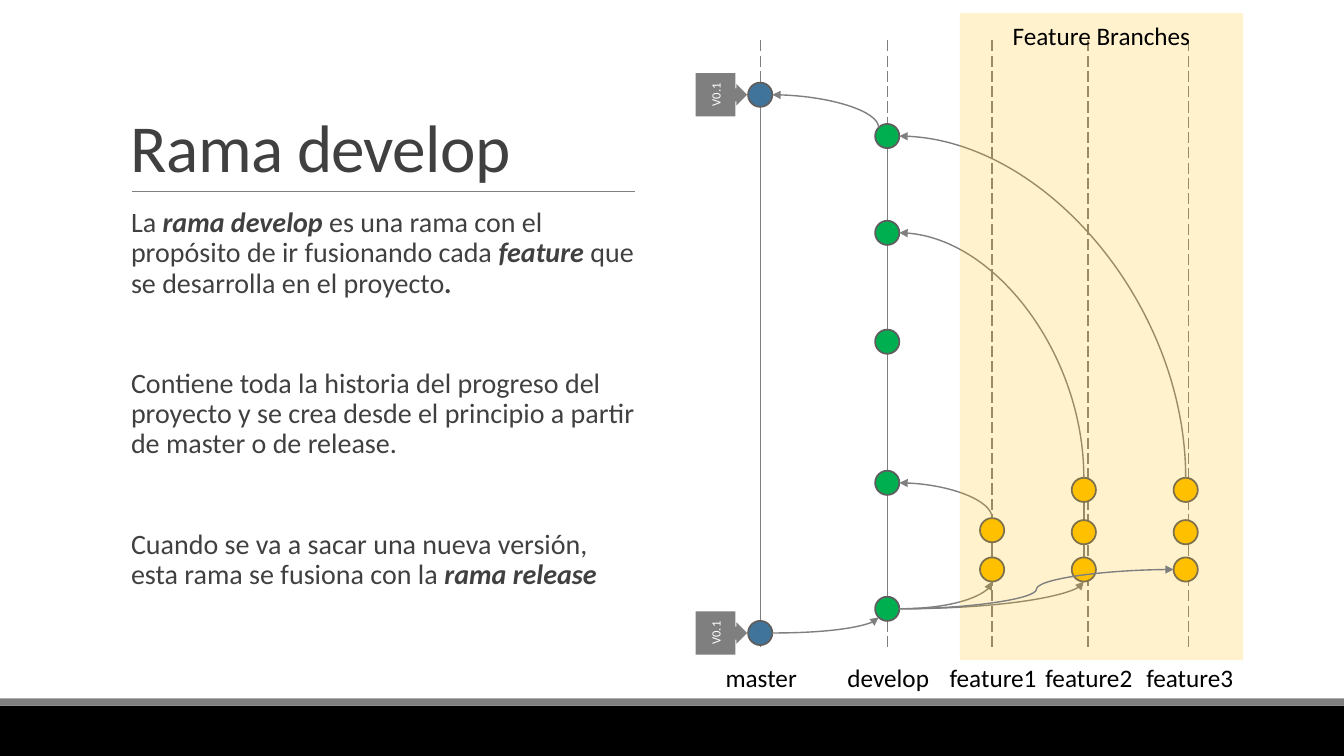
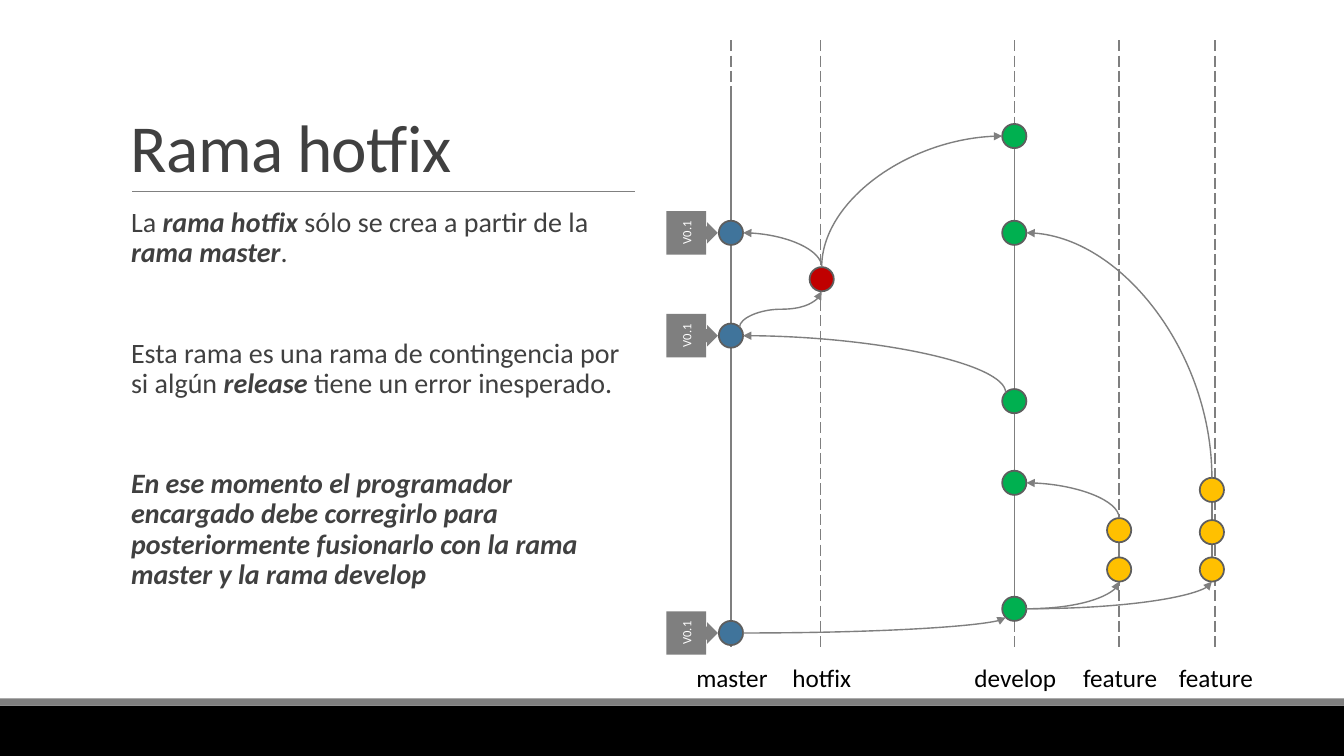
"""Build two slides that explain the develop and hotfix branches of a Git workflow."""
import pptx
import pptx.dml.color
import pptx.enum.dml
import pptx.enum.shapes
import pptx.enum.text
import pptx.oxml.ns
import pptx.oxml.xmlchemy
import pptx.util

Inches, Pt = pptx.util.Inches, pptx.util.Pt
SHAPE = pptx.enum.shapes.MSO_SHAPE
CONNECTOR = pptx.enum.shapes.MSO_CONNECTOR
ALIGN = pptx.enum.text.PP_ALIGN
ANCHOR = pptx.enum.text.MSO_ANCHOR
qn = pptx.oxml.ns.qn

WIDTH, HEIGHT = 13.33, 7.5
FONT = "Calibri"
COLORS = {
    "black": "000000", "white": "FFFFFF", "text": "404040", "gray": "7F7F7F",
    "rule": "808080", "outline": "5E5E5E", "master": "40749B",
    "develop": "00B050", "feature": "FFC000", "hotfix": "C00000",
}
NODE = 0.24
LANE_TOP, LANE_BOTTOM, LABEL_TOP = 0.4, 6.46, 6.52
DIAG = 0.71
SITES = {
    "top": (0, 0, -1), "upper-left": (1, -DIAG, -DIAG), "left": (2, -1, 0),
    "lower-left": (3, -DIAG, DIAG), "bottom": (4, 0, 1), "right": (6, 1, 0),
    "upper-right": (7, DIAG, -DIAG),
}
SHORT, LONG = [5.65, 5.26], [5.65, 5.28, 4.86]

# lane: key -> label, colour, lane x, node x, commit heights, top of the solid line
SLIDES = [
    {
        "title": "Rama develop",
        "body": [
            "La *rama develop *es una rama con el propósito de ir fusionando cada "
            "*feature* que se desarrolla en el proyecto*.*",
            "Contiene toda la historia del progreso del proyecto y se crea desde "
            "el principio a partir de master o de release.",
            "Cuando se va a sacar una nueva versión, esta rama se fusiona con la "
            "*rama release*",
        ],
        "lanes": {
            "m": ("master", "master", 7.54, 7.54, [6.28, 0.94], 0.94),
            "d": ("develop", "develop", 8.8, 8.8, [6.04, 4.79, 3.39, 2.31, 1.35], 1.35),
            "a": ("feature1", "feature", 9.84, 9.84, SHORT, 5.26),
            "b": ("feature2", "feature", 10.79, 10.75, LONG, 4.86),
            "c": ("feature3", "feature", 11.79, 11.76, LONG, None),
        },
        "edges": [
            "m0 right d0 lower-left", "d0 right a0 bottom", "a1 top d1 right",
            "d0 right b0 bottom", "b2 top d3 right", "c2 top d4 right",
            "d4 upper-left m1 right",
        ],
        "band": ("Feature Branches", 9.52, 0.13, 2.81, 6.42),
        "front_edges": ["d0 right c0 left"],
    },
    {
        "title": "Rama hotfix",
        "body": [
            "La *rama hotfix* sólo se crea a partir de la *rama master*.",
            "Esta rama es una rama de contingencia por si algún *release* tiene "
            "un error inesperado.",
            "*En ese momento el programador encargado debe corregirlo para "
            "posteriormente fusionarlo con la rama master y la rama develop*",
        ],
        "lanes": {
            "m": ("master", "master", 7.25, 7.25, [6.28, 3.33, 2.31], 0.94),
            "h": ("hotfix", "hotfix", 8.14, 8.15, [2.77], None),
            "d": ("develop", "develop", 10.06, 10.06, [6.04, 4.79, 3.98, 2.31, 1.35], 1.35),
            "a": ("feature", "feature", 11.1, 11.1, SHORT, 5.26),
            "b": ("feature", "feature", 12.05, 12.02, LONG, 4.86),
        },
        "edges": [
            "m0 right d0 lower-left", "d0 right a0 bottom", "a1 top d1 right",
            "d0 right b0 bottom", "b2 top d3 right", "d2 upper-left m1 right",
            "m1 upper-right h0 bottom", "h0 top m2 right", "h0 top d4 left",
        ],
        "band": None,
        "front_edges": [],
    },
]


def rgb(name):
    """Return the named colour."""
    return pptx.dml.color.RGBColor.from_string(COLORS[name])


def add_run(p, text, size, color, strong=False):
    """Append one styled run to a paragraph."""
    r = p.add_run()
    r.text = text
    r.font.name, r.font.size = FONT, Pt(size)
    r.font.color.rgb = rgb(color)
    r.font.bold = r.font.italic = strong
    return r


def add_box(slide, x, y, w, h):
    """Add an empty wrapping text box and return its frame."""
    tf = slide.shapes.add_textbox(*map(Inches, (x, y, w, h))).text_frame
    tf.word_wrap = True
    return tf


def add_label(slide, text, center, top):
    """Add a black caption centred on an x position."""
    p = add_box(slide, center - 1.1, top, 2.2, 0.4).paragraphs[0]
    p.alignment = ALIGN.CENTER
    add_run(p, text, 18, "black")


def add_shape(slide, kind, x, y, w, h, fill, outline=None):
    """Add a flat filled shape."""
    sp = slide.shapes.add_shape(kind, *map(Inches, (x, y, w, h)))
    sp.shadow.inherit = False
    sp.fill.solid()
    sp.fill.fore_color.rgb = rgb(fill)
    if outline:
        sp.line.color.rgb = rgb(outline)
        sp.line.width = Pt(1.25)
    else:
        sp.line.fill.background()
    return sp


def add_line(slide, x1, y1, x2, y2, kind=CONNECTOR.STRAIGHT, color="gray", width=1):
    """Add a connector without a shadow."""
    cxn = slide.shapes.add_connector(kind, *map(Inches, (x1, y1, x2, y2)))
    cxn.line.color.rgb = rgb(color)
    cxn.line.width = Pt(width)
    props = cxn._element.spPr
    props.append(props.makeelement(qn("a:effectLst"), {}))
    return cxn


def add_edge(slide, edge, nodes):
    """Join two commits with a curved arrow."""
    source, out, target, into = edge.split()
    ends = [(nodes[source], out), (nodes[target], into)]
    flat = [site in ("left", "right") for site in (out, into)]
    arrow = "a:tailEnd"
    if flat == [False, True]:
        ends.reverse()
        arrow = "a:headEnd"
    points = []
    for (sp, x, y), site in ends:
        dx, dy = SITES[site][1:]
        points.append((x + dx * NODE / 2, y + dy * NODE / 2))
    (x1, y1), (x2, y2) = points
    upright = not any(flat)
    if upright:
        cx, cy, dx, dy = (x1 + x2) / 2, (y1 + y2) / 2, (x2 - x1) / 2, (y1 - y2) / 2
        x1, y1, x2, y2 = cx - dy, cy - dx, cx + dy, cy + dx
    cxn = add_line(slide, x1, y1, x2, y2, CONNECTOR.CURVE)
    props = cxn._element.spPr
    if upright:
        props.find(qn("a:xfrm")).set("rot", str(270 * 60000))
    if flat[0] != flat[1]:
        props.find(qn("a:prstGeom")).set("prst", "curvedConnector2")
    cxn._connect_begin_to(ends[0][0][0], SITES[ends[0][1]][0])
    cxn._connect_end_to(ends[1][0][0], SITES[ends[1][1]][0])
    ln = props.find(qn("a:ln"))
    ln.append(ln.makeelement(qn(arrow), {"type": "triangle"}))


def add_tag(slide, x, y):
    """Add the version tag that points at a master commit."""
    w, h = 0.43, 0.51
    sp = add_shape(slide, SHAPE.DOWN_ARROW_CALLOUT, x - 0.385 - w / 2, y - h / 2, w, h, "gray")
    sp.rotation = 270
    for i, value in enumerate((0.3, 0.25, 0.25, 0.77)):
        sp.adjustments[i] = value
    tf = sp.text_frame
    tf.margin_left = tf.margin_right = tf.margin_top = tf.margin_bottom = 0
    tf.vertical_anchor = ANCHOR.MIDDLE
    p = tf.paragraphs[0]
    p.alignment = ALIGN.CENTER
    add_run(p, "V0.1", 9, "white")


def add_frame(slide, title, body):
    """Add the footer bands, the title with its rule and the body text."""
    add_shape(slide, SHAPE.RECTANGLE, 0, 7, WIDTH, 0.5, "black")
    add_shape(slide, SHAPE.RECTANGLE, 0, 6.93, WIDTH, 0.07, "gray")
    add_line(slide, 1.31, 1.9, 6.3, 1.9, color="rule", width=0.5)
    tf = add_box(slide, 1.2, 0.31, 11, 1.59)
    tf.vertical_anchor = ANCHOR.BOTTOM
    p = tf.paragraphs[0]
    p.line_spacing = 0.85
    add_run(p, title, 48, "text")._r.get_or_add_rPr().set("spc", "-50")
    tf = add_box(slide, 1.3, 2.02, 5, 4.4)
    tf.margin_left = tf.margin_right = 0
    for i, text in enumerate(body):
        p = tf.add_paragraph() if i else tf.paragraphs[0]
        p.line_spacing = 0.9
        p.space_before, p.space_after = Pt(48 if i else 0), Pt(2)
        for j, part in enumerate(text.split("*")):
            if part:
                add_run(p, part, 20, "text", strong=j % 2 == 1)


def add_branches(slide, lanes):
    """Draw the lanes with their commits and return the commits by name."""
    nodes = {}
    for key, (label, color, lane_x, x, heights, top) in lanes.items():
        lane = add_line(slide, lane_x, LANE_TOP, lane_x, LANE_BOTTOM)
        lane.line.dash_style = pptx.enum.dml.MSO_LINE.LONG_DASH
        add_label(slide, label, lane_x + 0.01, LABEL_TOP)
        if top:
            add_line(slide, x, heights[0], x, top)
        for i, y in enumerate(heights):
            sp = add_shape(slide, SHAPE.OVAL, x - NODE / 2, y - NODE / 2, NODE, NODE,
                           color, "outline")
            nodes[f"{key}{i}"] = sp, x, y
            if color == "master":
                add_tag(slide, x, y)
    return nodes


def add_band(slide, label, x, y, w, h):
    """Tint the area of the feature branches."""
    sp = add_shape(slide, SHAPE.RECTANGLE, x, y, w, h, "feature")
    tint = sp._element.spPr.find(qn("a:solidFill"))[0]
    tint.append(tint.makeelement(qn("a:alpha"), {"val": "20000"}))
    add_label(slide, label, x + w / 2, y + 0.02)


def main():
    """Build and save the presentation."""
    prs = pptx.Presentation()
    prs.slide_width, prs.slide_height = Inches(WIDTH), Inches(HEIGHT)
    for data in SLIDES:
        slide = prs.slides.add_slide(prs.slide_layouts[6])
        add_frame(slide, data["title"], data["body"])
        nodes = add_branches(slide, data["lanes"])
        for edge in data["edges"]:
            add_edge(slide, edge, nodes)
        if data["band"]:
            add_band(slide, *data["band"])
        for edge in data["front_edges"]:
            add_edge(slide, edge, nodes)
    prs.save("out.pptx")


if __name__ == "__main__":
    main()
